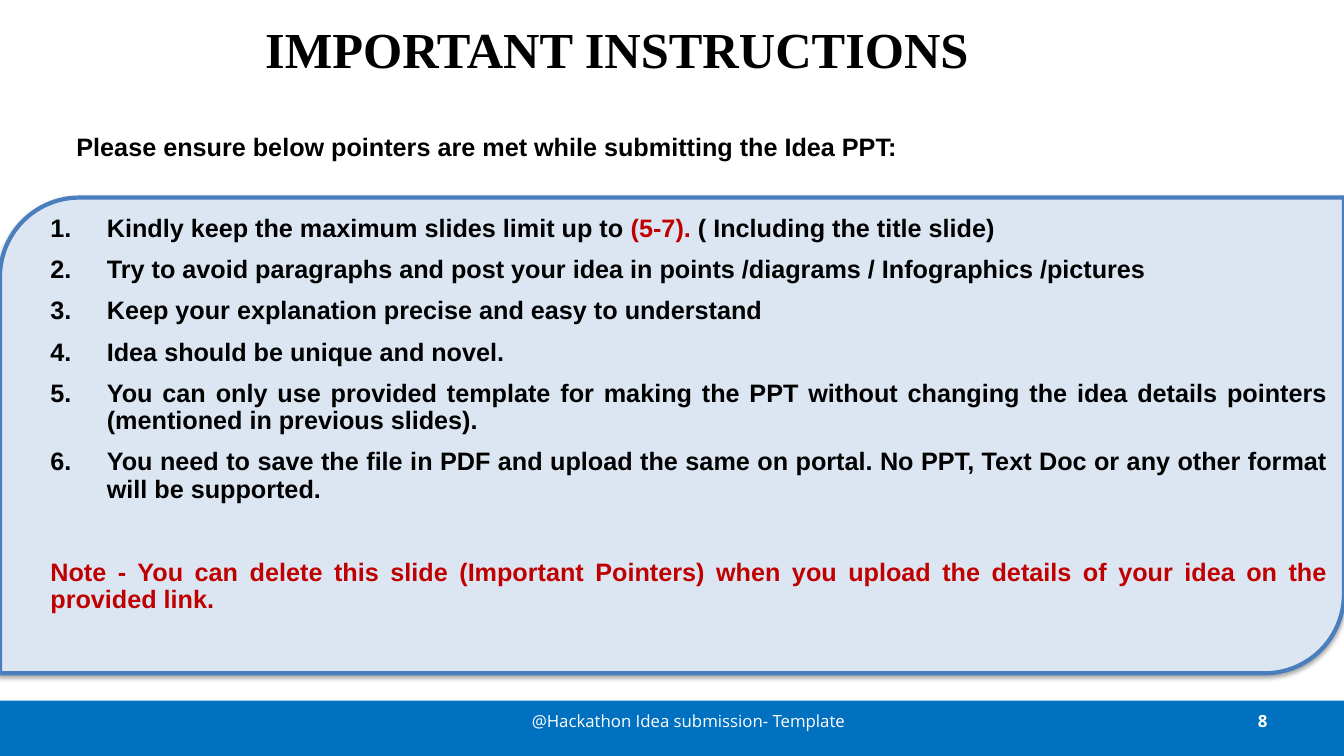
from dataclasses import dataclass
from lxml.etree import SubElement
from pptx import Presentation
from pptx.dml.color import RGBColor
from pptx.enum.shapes import MSO_SHAPE
from pptx.enum.text import MSO_ANCHOR, MSO_AUTO_SIZE, PP_ALIGN
from pptx.oxml.ns import qn
from pptx.util import Inches, Pt


@dataclass(frozen=True)
class Theme:
    black: str = "000000"
    white: str = "FFFFFF"
    red: str = "C00000"
    band: str = "0070C0"
    panel: str = "DCE6F2"
    edge: str = "4B7EBC"
    gray: str = "808080"
    head: int = 36
    text: int = 18
    small: int = 12


look = Theme()
HEAD = {"name": "Times New Roman", "size": Pt(look.head), "bold": True}
TEXT = {"name": "Arial", "size": Pt(look.text), "bold": True}
FOOT = {"name": "Open Sans", "size": Pt(look.small), "bold": False}
ROW = {"alignment": PP_ALIGN.JUSTIFY, "line_spacing": 0.9, "space_before": Pt(10)}


def place(box, left, top, width, height, anchor):
    box.left, box.top = Inches(left), Inches(top)
    box.width, box.height = Inches(width), Inches(height)
    frame = box.text_frame
    frame.word_wrap = True
    frame.auto_size = MSO_AUTO_SIZE.NONE
    frame.vertical_anchor = anchor
    return frame


def write(para, runs, font, form):
    for key, value in form.items():
        setattr(para, key, value)
    for text, color in runs:
        run = para.add_run()
        run.text = text
        for key, value in font.items():
            setattr(run.font, key, value)
        run.font.color.rgb = RGBColor.from_string(color)


deck = Presentation()
deck.slide_width, deck.slide_height = Inches(13.33), Inches(7.5)
slide = deck.slides.add_slide(deck.slide_layouts[1])
title, body = slide.placeholders

# Footer band and panel, behind the text
for kind, top, height, fill, edge, shade, blur in (
    (MSO_SHAPE.RECTANGLE, 6.95, 0.55, look.band, None, look.gray, 0),
    (MSO_SHAPE.ROUND_2_DIAG_RECTANGLE, 1.96, 4.72, look.panel, look.edge, look.black, 3.1),
):
    shape = slide.shapes.add_shape(kind, 0, Inches(top), deck.slide_width, Inches(height))
    shape.fill.solid()
    shape.fill.fore_color.rgb = RGBColor.from_string(fill)
    if edge:
        shape.line.color.rgb = RGBColor.from_string(edge)
        shape.line.width = Pt(3)
    else:
        shape.line.fill.background()
    shape.shadow.inherit = False
    cast = SubElement(shape.element.spPr.find(qn("a:effectLst")), qn("a:outerShdw"),
                      blurRad=str(Pt(blur)), dist=str(Pt(1.8)), dir="5400000", rotWithShape="0")
    tint = SubElement(cast, qn("a:srgbClr"), val=shade)
    SubElement(tint, qn("a:alpha"), val="35000")
    title.element.addprevious(shape.element)

# Title
frame = place(title, 1.52, 0.12, 9.2, 0.71, MSO_ANCHOR.MIDDLE)
write(frame.paragraphs[0], [("IMPORTANT INSTRUCTIONS", look.black)], HEAD,
      {"alignment": PP_ALIGN.CENTER})

# Numbered list and closing note
rows = [
    [("Kindly keep the maximum slides limit up to ", look.black), ("(5-7). ", look.red),
     ("( Including the title slide)", look.black)],
    [("Try to avoid paragraphs and post your idea in points /diagrams / Infographics /pictures",
      look.black)],
    [("Keep your explanation precise and easy to understand", look.black)],
    [("Idea should be unique and novel.", look.black)],
    [("You can only use provided template for making the PPT without changing the idea details "
      "pointers (mentioned in previous slides).", look.black)],
    [("You need to save the file in PDF and upload the same on portal. No PPT, Text Doc or any "
      "other format will be supported.", look.black)],
    [("Note - You can delete this slide (Important Pointers) when you upload the details of your "
      "idea on the provided link.", look.red)],
]
frame = place(body, 0.4, 2.09, 12.87, 4.45, MSO_ANCHOR.TOP)
for spot, runs in enumerate(rows):
    first, note = spot == 0, spot == len(rows) - 1
    para = frame.paragraphs[0] if first else frame.add_paragraph()
    gap = Pt(0 if first else 40 if note else 10)
    write(para, runs, TEXT, ROW | {"space_before": gap})
    props = para._p.get_or_add_pPr()
    indent = 0 if note else Inches(0.56)
    props.set("marL", str(indent))
    props.set("indent", str(-indent))
    if note:
        SubElement(props, qn("a:buNone"))
    else:
        ink = SubElement(props, qn("a:buClr"))
        SubElement(ink, qn("a:srgbClr"), val=look.black)
        SubElement(props, qn("a:buFont"), typeface="+mj-lt")
        SubElement(props, qn("a:buAutoNum"), type="arabicPeriod")

# Lead line, footer text and slide number
lead = "Please ensure below pointers are met while submitting the Idea PPT:"
for spot, text, color, font, form, anchor in (
    ((0.66, 1.29, 10.45, 0.37), lead, look.black, TEXT, ROW, MSO_ANCHOR.TOP),
    ((5.08, 6.95, 3.5, 0.4), "@Hackathon Idea submission- Template", look.white, FOOT,
     {"alignment": PP_ALIGN.CENTER}, MSO_ANCHOR.MIDDLE),
    ((9.56, 6.95, 3.11, 0.4), "8", look.white, FOOT | {"bold": True},
     {"alignment": PP_ALIGN.RIGHT}, MSO_ANCHOR.MIDDLE),
):
    box = slide.shapes.add_textbox(0, 0, 0, 0)
    frame = place(box, *spot, anchor)
    write(frame.paragraphs[0], [(text, color)], font, form)

deck.save("out.pptx")
